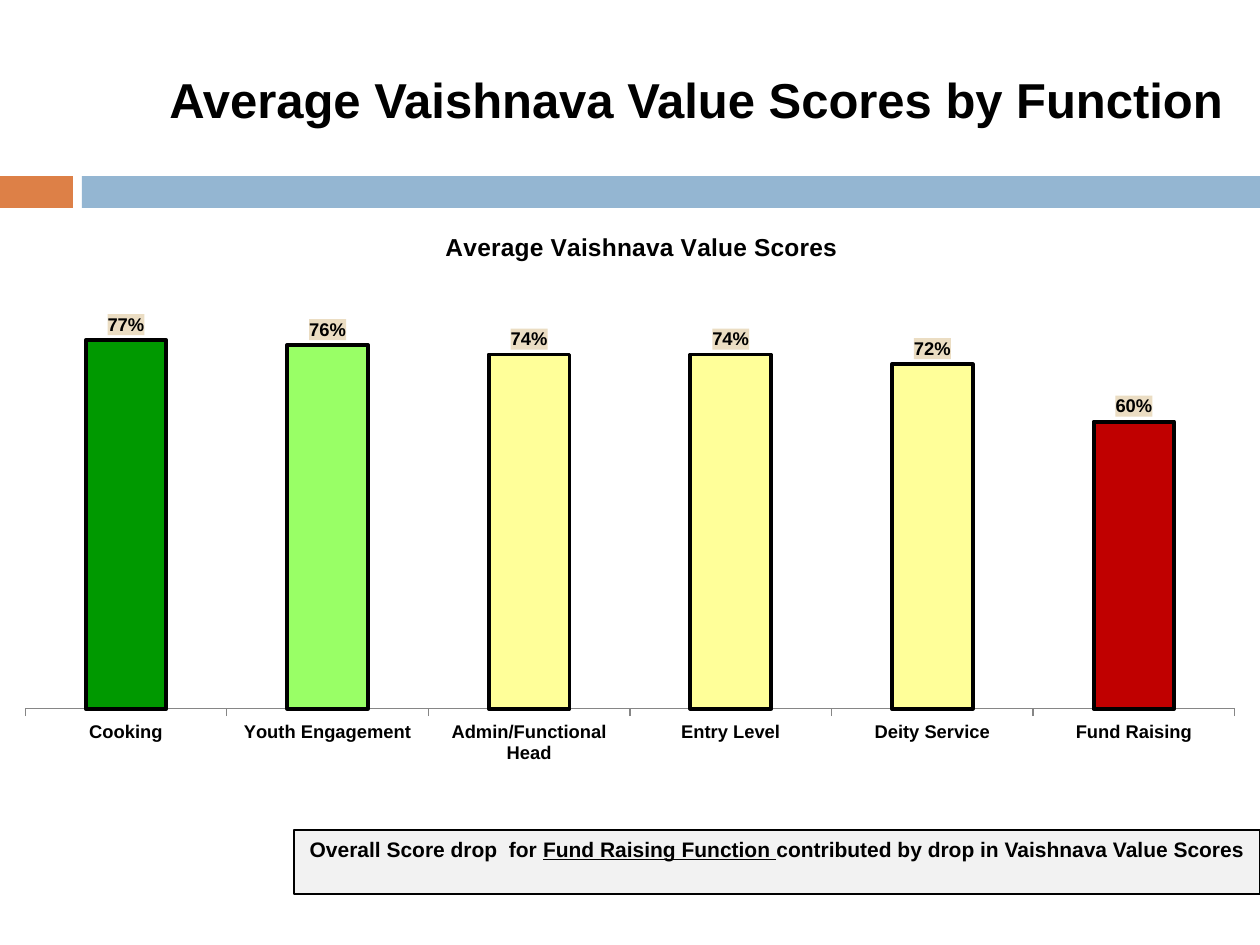
from dataclasses import dataclass

from lxml.etree import SubElement
from pptx import Presentation
from pptx.chart.data import CategoryChartData
from pptx.dml.color import RGBColor
from pptx.enum.chart import XL_CHART_TYPE, XL_LABEL_POSITION, XL_TICK_LABEL_POSITION, XL_TICK_MARK
from pptx.enum.shapes import MSO_SHAPE
from pptx.enum.text import MSO_ANCHOR, MSO_AUTO_SIZE, PP_ALIGN
from pptx.oxml import parse_xml
from pptx.oxml.ns import nsdecls, qn
from pptx.util import Emu, Pt

EMU_PER_PX = 914400 / 126


@dataclass(frozen=True)
class Theme:
    font: str = "Arial"
    text: str = "000000"
    orange: str = "DD8047"
    blue: str = "94B6D2"
    note_fill: str = "F2F2F2"
    label_fill: str = "EBDDC3"
    axis: str = "868686"
    title_size: float = 28
    chart_title_size: float = 14
    note_size: float = 12
    label_size: float = 10.5


@dataclass(frozen=True)
class Box:
    left: int
    top: int
    width: int
    height: int
    fill: str = ""
    line: str = ""

    def emu(self) -> tuple[Emu, ...]:
        return tuple(px(n) for n in (self.left, self.top, self.width, self.height))


@dataclass(frozen=True)
class Score:
    function: str
    value: float
    color: str


THEME = Theme()
BANDS = [
    Box(0, 176, 73, 32, THEME.orange),
    Box(82, 176, 1178, 32, THEME.blue),
]
TITLE_BOX = Box(157, 63, 1105, 72)
CHART_BOX = Box(0, 210, 1260, 567)
NOTE_BOX = Box(294, 830, 966, 64, THEME.note_fill, THEME.text)
CHART_TITLE = "Average Vaishnava Value Scores"
SCORES = [
    Score("Cooking", 0.77, "009900"),
    Score("Youth Engagement", 0.76, "99FF66"),
    Score("Admin/Functional Head", 0.74, "FFFF99"),
    Score("Entry Level", 0.74, "FFFF99"),
    Score("Deity Service", 0.72, "FFFF99"),
    Score("Fund Raising", 0.6, "C00000"),
]
NOTE_RUNS = [
    ("Overall Score drop  for ", False),
    ("Fund Raising Function ", True),
    ("contributed by drop in Vaishnava Value Scores", False),
]


def px(length: int) -> Emu:
    return Emu(round(length * EMU_PER_PX))


def set_values(target, **values) -> None:
    for name, value in values.items():
        setattr(target, name, value)


def set_font(font, size: float, **values) -> None:
    set_values(font, name=THEME.font, size=Pt(size), bold=True, **values)
    font.color.rgb = RGBColor.from_string(THEME.text)


def paint(item, fill: str, line: str = "", width: float = 0.75) -> None:
    item.fill.solid()
    item.fill.fore_color.rgb = RGBColor.from_string(fill)
    if line:
        item.line.color.rgb = RGBColor.from_string(line)
        item.line.width = Pt(width)
    else:
        item.line.fill.background()


def add_rectangle(slide, box: Box):
    shape = slide.shapes.add_shape(MSO_SHAPE.RECTANGLE, *box.emu())
    shape.shadow.inherit = False
    paint(shape, box.fill, box.line)
    return shape


def add_title(slide) -> None:
    frame = slide.shapes.add_textbox(*TITLE_BOX.emu()).text_frame
    set_values(frame, word_wrap=False, auto_size=MSO_AUTO_SIZE.SHAPE_TO_FIT_TEXT)
    run = frame.paragraphs[0].add_run()
    run.text = "Average Vaishnava Value Scores by Function"
    set_font(run.font, THEME.title_size)


def add_note(slide) -> None:
    frame = add_rectangle(slide, NOTE_BOX).text_frame
    set_values(frame, word_wrap=True, vertical_anchor=MSO_ANCHOR.TOP)
    paragraph = frame.paragraphs[0]
    paragraph.alignment = PP_ALIGN.CENTER
    for text, underlined in NOTE_RUNS:
        run = paragraph.add_run()
        run.text = text
        set_font(run.font, THEME.note_size, underline=underlined)


def place(element, index: int, **settings) -> None:
    """Give a chart title or plot area a manual layout."""
    for old in element.findall(qn("c:layout")):
        element.remove(old)
    layout = parse_xml(f"<c:layout {nsdecls('c')}><c:manualLayout/></c:layout>")
    for name, value in settings.items():
        SubElement(layout[0], qn(f"c:{name}")).set("val", str(value))
    element.insert(index, layout)


def format_axes(chart) -> None:
    category_axis = chart.category_axis
    set_values(category_axis, has_major_gridlines=False,
               major_tick_mark=XL_TICK_MARK.OUTSIDE,
               tick_label_position=XL_TICK_LABEL_POSITION.NEXT_TO_AXIS)
    category_axis.format.line.color.rgb = RGBColor.from_string(THEME.axis)
    set_font(category_axis.tick_labels.font, THEME.label_size)
    set_values(chart.value_axis, visible=False, has_major_gridlines=False,
               minimum_scale=0, maximum_scale=0.9)
    set_values(chart.value_axis.tick_labels, number_format="0%",
               number_format_is_linked=False)


def format_bars(plot) -> None:
    set_values(plot, gap_width=150, vary_by_categories=False)
    series = plot.series[0]
    paint(series.format, THEME.blue, THEME.text, 2.25)
    for index, score in enumerate(SCORES):
        paint(series.points[index].format, score.color, THEME.text, 2.25)
    labels = series.data_labels
    set_values(labels, show_value=True, position=XL_LABEL_POSITION.OUTSIDE_END,
               number_format="0%", number_format_is_linked=False)
    set_font(labels.font, THEME.label_size)
    background = parse_xml(
        f'<c:spPr {nsdecls("c", "a")}><a:solidFill>'
        f'<a:srgbClr val="{THEME.label_fill}"/></a:solidFill></c:spPr>')
    series._element.find(qn("c:dLbls")).find(qn("c:numFmt")).addnext(background)


def add_score_chart(slide) -> None:
    data = CategoryChartData(number_format="0%")
    data.categories = [score.function for score in SCORES]
    data.add_series(CHART_TITLE, [score.value for score in SCORES])
    chart = slide.shapes.add_chart(
        XL_CHART_TYPE.COLUMN_CLUSTERED, *CHART_BOX.emu(), data).chart
    set_values(chart, has_legend=False, has_title=True)
    set_font(chart.font, THEME.label_size)
    run = chart.chart_title.text_frame.paragraphs[0].add_run()
    run.text = CHART_TITLE
    set_font(run.font, THEME.chart_title_size)
    format_axes(chart)
    format_bars(chart.plots[0])
    chart_element = chart._chartSpace.find(qn("c:chart"))
    place(chart_element.find(qn("c:title")), 1,
          xMode="edge", yMode="edge", x=0.35, y=0.03)
    place(chart_element.find(qn("c:plotArea")), 0, layoutTarget="inner",
          xMode="edge", yMode="edge", x=0.02, y=0.12, w=0.96, h=0.76)


def main() -> None:
    presentation = Presentation()
    set_values(presentation, slide_width=px(1260), slide_height=px(945))
    slide = presentation.slides.add_slide(presentation.slide_layouts[6])
    for band in BANDS:
        add_rectangle(slide, band)
    add_score_chart(slide)
    add_title(slide)
    add_note(slide)
    presentation.save("out.pptx")


if __name__ == "__main__":
    main()
